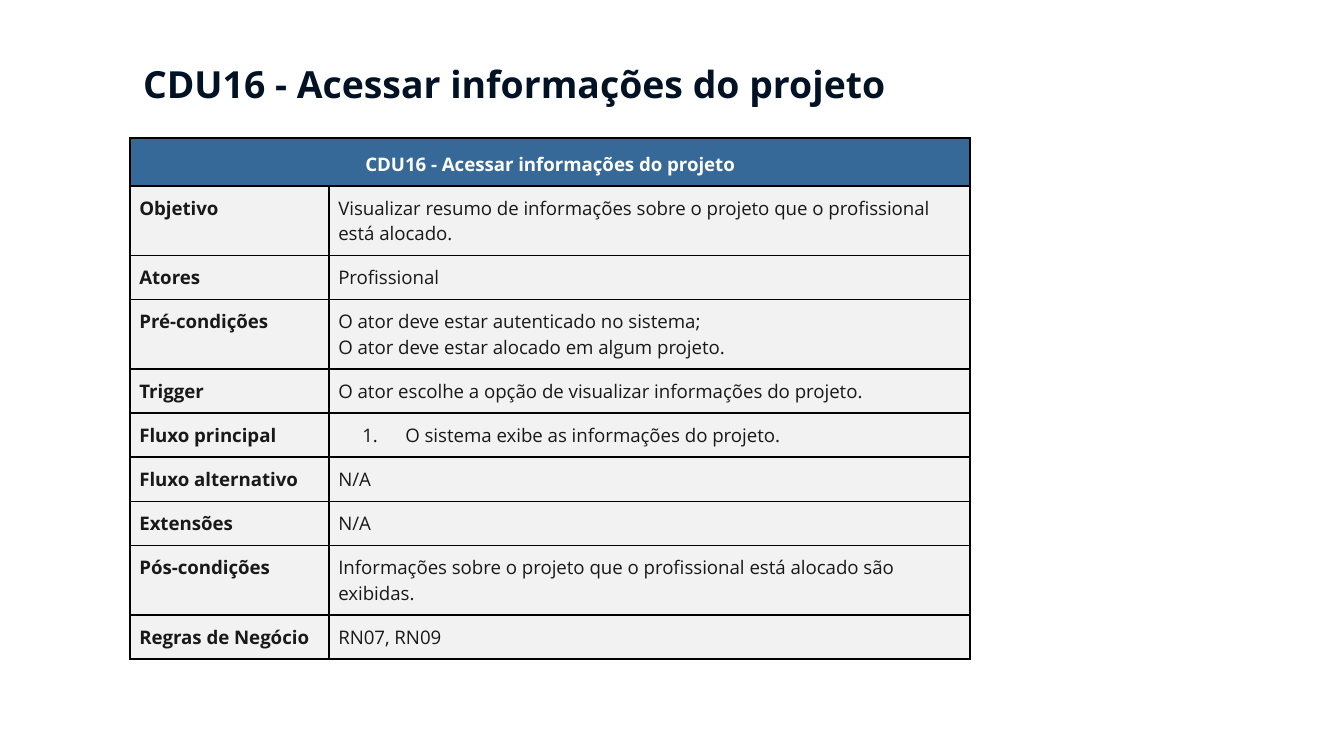
"""Builds the use case slide CDU16 with its title and description table."""
import pptx
import pptx.dml.color
import pptx.enum.text
import pptx.oxml
import pptx.oxml.ns
import pptx.util

NAVY = pptx.dml.color.RGBColor(0x01, 0x12, 0x25)
BLUE = pptx.dml.color.RGBColor(0x37, 0x69, 0x98)
WHITE = pptx.dml.color.RGBColor(0xFF, 0xFF, 0xFF)
GREY = pptx.dml.color.RGBColor(0xF2, 0xF2, 0xF2)
INK = pptx.dml.color.RGBColor(0x19, 0x19, 0x19)
BLACK = pptx.dml.color.RGBColor(0x00, 0x00, 0x00)

TITLE = "CDU16 - Acessar informações do projeto"
FLOW = "Fluxo principal"
ROWS = [
    ("Objetivo", "Visualizar resumo de informações sobre o projeto que o profissional está alocado.", 69),
    ("Atores", "Profissional", 44),
    ("Pré-condições", "O ator deve estar autenticado no sistema;\nO ator deve estar alocado em algum projeto.", 69),
    ("Trigger", "O ator escolhe a opção de visualizar informações do projeto.", 44),
    (FLOW, "O sistema exibe as informações do projeto.", 44),
    ("Fluxo alternativo", "N/A", 44),
    ("Extensões", "N/A", 44),
    ("Pós-condições", "Informações sobre o projeto que o profissional está alocado são exibidas.", 69),
    ("Regras de Negócio", "RN07, RN09", 44),
]


def px(length):
    return pptx.util.Emu(round(length * 914400 / 134.4))


class SlideBuilder:
    font = "Open Sans"
    body_size = 10
    title_size = 20
    header_height = 47

    def __init__(self, deck):
        self.slide = deck.slides.add_slide(deck.slide_layouts[6])

    def style(self, para, size, color, bold):
        para.font.name = self.font
        para.font.size = pptx.util.Pt(size)
        para.font.color.rgb = color
        para.font.bold = bold

    def title(self, text, left, top, width, height):
        box = self.slide.shapes.add_textbox(px(left), px(top), px(width), px(height))
        frame = box.text_frame
        frame.word_wrap = True
        frame.auto_size = pptx.enum.text.MSO_AUTO_SIZE.SHAPE_TO_FIT_TEXT
        frame.margin_left = frame.margin_right = px(13)
        frame.margin_top = frame.margin_bottom = px(13)
        frame.text = text
        self.style(frame.paragraphs[0], self.title_size, NAVY, True)

    def borders(self, cell):
        properties = cell._tc.get_or_add_tcPr()
        namespace = pptx.oxml.ns.nsdecls("a")
        for side in ("lnL", "lnR", "lnT", "lnB"):
            properties.append(pptx.oxml.parse_xml(
                f'<a:{side} {namespace} w="{pptx.util.Pt(1)}"><a:solidFill>'
                f'<a:srgbClr val="{BLACK}"/></a:solidFill></a:{side}>'))

    def number(self, para):
        properties = para._p.get_or_add_pPr()
        properties.set("marL", str(px(67)))
        properties.set("indent", str(-px(43)))
        namespace = pptx.oxml.ns.nsdecls("a")
        properties.append(pptx.oxml.parse_xml(
            f'<a:buClr {namespace}><a:srgbClr val="{INK}"/></a:buClr>'))
        properties.append(pptx.oxml.parse_xml(
            f'<a:buAutoNum {namespace} type="arabicPeriod"/>'))

    def cell(self, cell, text, fill, color, bold, numbered=False):
        self.borders(cell)
        cell.fill.solid()
        cell.fill.fore_color.rgb = fill
        cell.margin_left = cell.margin_right = pptx.util.Inches(0.07)
        cell.margin_top = cell.margin_bottom = pptx.util.Inches(0.07)
        cell.text = text
        for para in cell.text_frame.paragraphs:
            if numbered:
                self.number(para)
            self.style(para, self.body_size, color, bold)

    def table(self, heading, rows, left, top, widths):
        heights = [self.header_height] + [height for _, _, height in rows]
        frame = self.slide.shapes.add_table(
            len(heights), len(widths), px(left), px(top), px(sum(widths)), px(sum(heights)))
        table = frame.table
        table.first_row = table.horz_banding = False
        for column, width in zip(table.columns, widths):
            column.width = px(width)
        for row, height in zip(table.rows, heights):
            row.height = px(height)
        header = table.cell(0, 0)
        header.merge(table.cell(0, 1))
        self.borders(table.cell(0, 1))
        self.cell(header, heading, BLUE, WHITE, True)
        para = header.text_frame.paragraphs[0]
        para.alignment = pptx.enum.text.PP_ALIGN.CENTER
        para.line_spacing = 1.15
        for index, (label, text, _) in enumerate(rows, start=1):
            self.cell(table.cell(index, 0), label, GREY, INK, True)
            self.cell(table.cell(index, 1), text, GREY, INK, False, label == FLOW)


def main():
    deck = pptx.Presentation()
    deck.slide_width, deck.slide_height = px(1344), px(756)
    builder = SlideBuilder(deck)
    builder.table(TITLE, ROWS, 130, 138, (199, 641))
    builder.title(TITLE, 130, 48, 1154, 73)
    deck.save("out.pptx")


if __name__ == "__main__":
    main()
